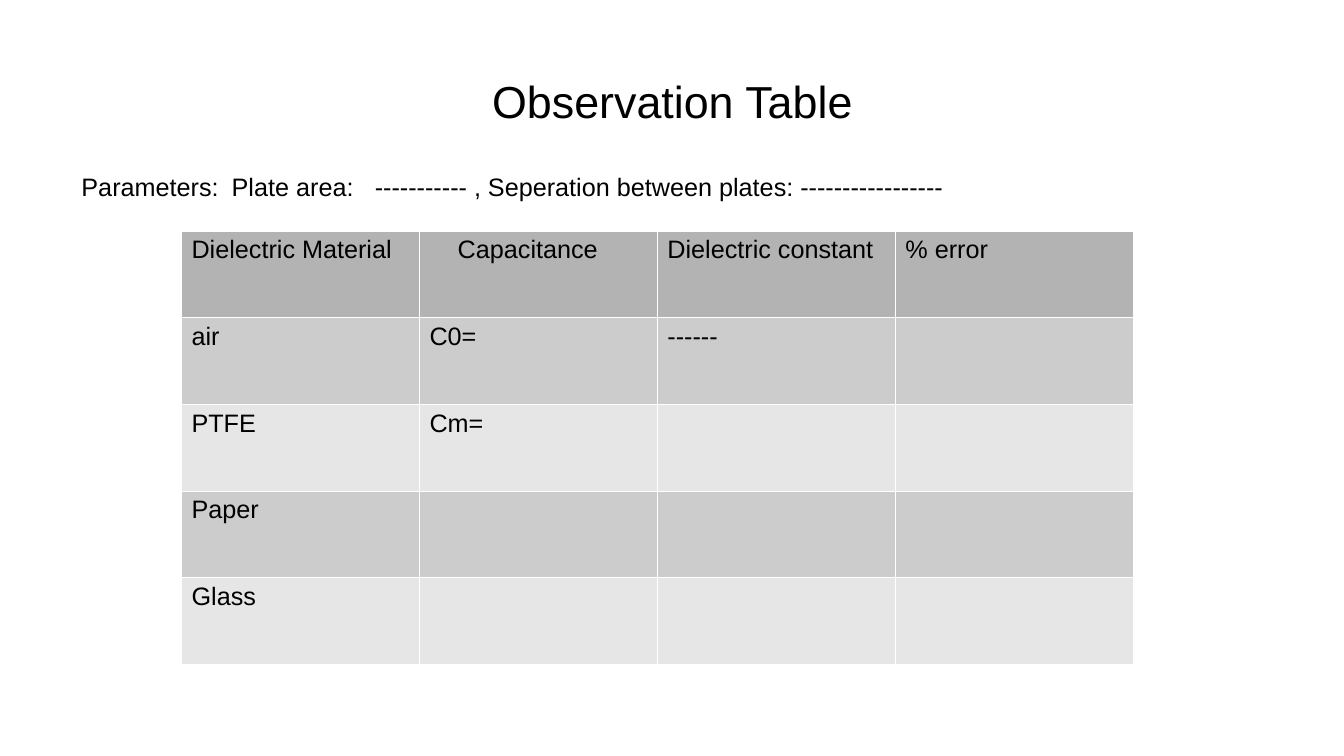
from dataclasses import dataclass

from lxml import etree
from pptx import Presentation
from pptx.dml.color import RGBColor
from pptx.enum.text import MSO_ANCHOR, PP_ALIGN
from pptx.oxml.ns import qn
from pptx.util import Inches, Pt

CENTER, LEFT = PP_ALIGN.CENTER, PP_ALIGN.LEFT
MIDDLE = MSO_ANCHOR.MIDDLE
FONT = "Arial"
COLORS = {"text": "000000", "border": "FFFFFF", "header": "B3B3B3",
          "odd": "CCCCCC", "even": "E6E6E6"}
COL_WIDTH, ROW_HEIGHT = 2.36, 0.86
BORDER_WIDTH = Pt(0.06)


@dataclass
class Row:
    fill: str
    texts: tuple[str, ...]


ROWS = [
    Row("header", ("Dielectric Material", "Capacitance", "Dielectric constant", "% error")),
    Row("odd", ("air", "C0=", "------", "")),
    Row("even", ("PTFE", "Cm=", "", "")),
    Row("odd", ("Paper", "", "", "")),
    Row("even", ("Glass", "", "", "")),
]


def write(p, text: str, size: int, align=LEFT) -> None:
    p.alignment = align
    p.font.size = Pt(size)
    if text:
        r = p.add_run()
        r.text = text
        r.font.name = FONT
        r.font.size = Pt(size)
        r.font.color.rgb = RGBColor.from_string(COLORS["text"])


def add_borders(cell) -> None:
    tc_pr = cell._tc.get_or_add_tcPr()
    for side in ("lnL", "lnR", "lnT", "lnB"):
        ln = etree.SubElement(tc_pr, qn(f"a:{side}"), w=str(BORDER_WIDTH))
        fill = etree.SubElement(ln, qn("a:solidFill"))
        etree.SubElement(fill, qn("a:srgbClr"), val=COLORS["border"])


def add_tabs(p, *stops: float) -> None:
    tabs = etree.SubElement(p._p.get_or_add_pPr(), qn("a:tabLst"))
    for stop in stops:
        etree.SubElement(tabs, qn("a:tab"), pos=str(Inches(stop)), algn="l")


def add_title(s) -> None:
    sp = s.shapes.title
    sp.left, sp.top = Inches(0.67), Inches(0.31)
    sp.width, sp.height = Inches(12), Inches(1.38)
    tf = sp.text_frame
    tf.margin_left = tf.margin_top = tf.margin_right = tf.margin_bottom = 0
    tf.vertical_anchor = MIDDLE
    write(tf.paragraphs[0], "Observation Table", 32, CENTER)


def add_observations(s) -> None:
    n_rows, n_cols = len(ROWS), len(ROWS[0].texts)
    table = s.shapes.add_table(n_rows, n_cols, Inches(1.8), Inches(2.29),
                               Inches(n_cols * COL_WIDTH), Inches(n_rows * ROW_HEIGHT)).table
    table.horz_banding = False
    for i, row in enumerate(ROWS):
        for j, text in enumerate(row.texts):
            cell = table.cell(i, j)
            add_borders(cell)
            cell.fill.solid()
            cell.fill.fore_color.rgb = RGBColor.from_string(COLORS[row.fill])
            write(cell.text_frame.paragraphs[0], text, 18)
    # The capacitance heading is indented
    heading = table.cell(0, 1).text_frame.paragraphs[0]
    heading._p.get_or_add_pPr().set("marL", str(Inches(0.28)))


def add_parameters(s) -> None:
    sp = s.shapes.add_textbox(Inches(0.71), Inches(1.65), Inches(12.36), Inches(0.66))
    tf = sp.text_frame
    tf.word_wrap = True
    p = tf.paragraphs[0]
    add_tabs(p, 1.49, 2.91)
    write(p, "Parameters:\tPlate area:\t----------- , "
             "Seperation between plates: -----------------", 18)


def main() -> None:
    prs = Presentation()
    prs.slide_width, prs.slide_height = Inches(13.33), Inches(7.5)
    s = prs.slides.add_slide(prs.slide_layouts[5])  # title only
    add_title(s)
    add_observations(s)
    add_parameters(s)
    prs.save("out.pptx")


if __name__ == "__main__":
    main()
